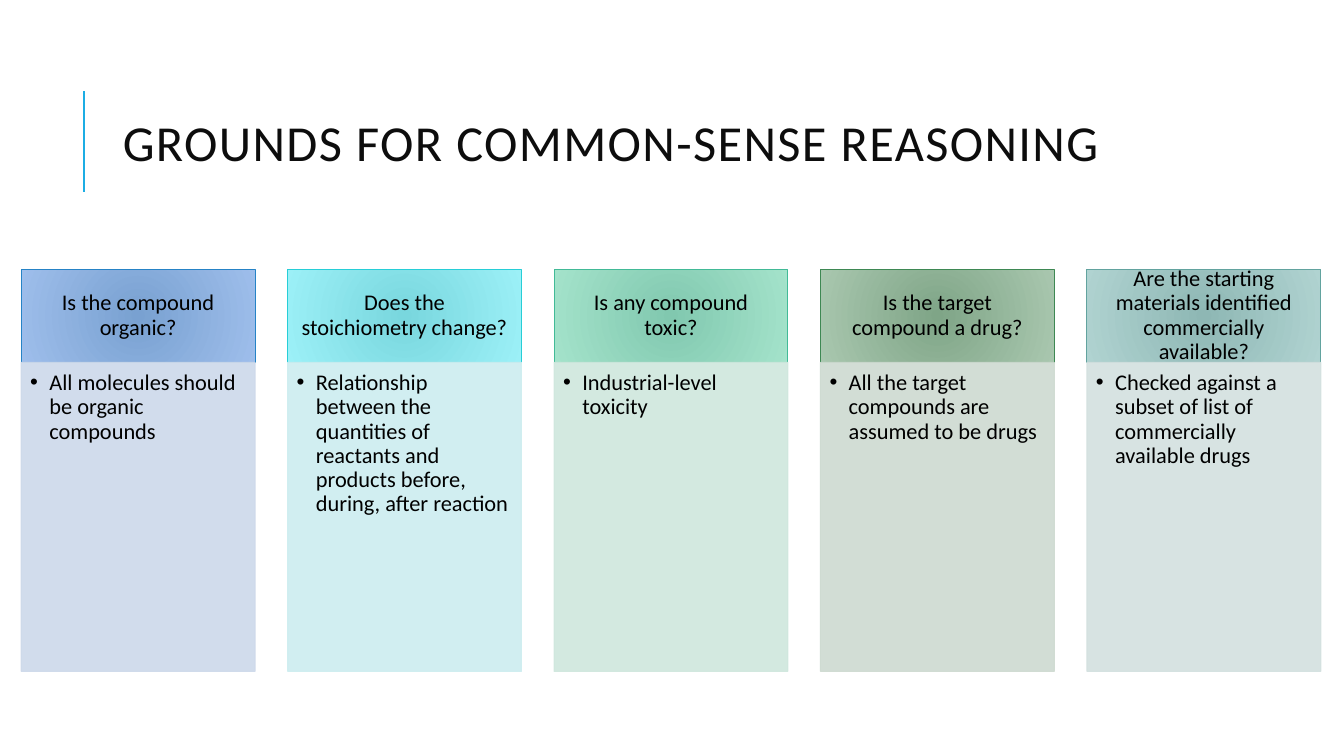
from lxml import etree
from pptx import Presentation
from pptx.dml.color import RGBColor
from pptx.enum.shapes import MSO_CONNECTOR, MSO_SHAPE
from pptx.enum.text import MSO_ANCHOR, PP_ALIGN
from pptx.oxml import parse_xml
from pptx.oxml.ns import nsdecls, qn
from pptx.util import Inches, Pt

RECT = MSO_SHAPE.RECTANGLE
STRAIGHT = MSO_CONNECTOR.STRAIGHT
TOP, MIDDLE = MSO_ANCHOR.TOP, MSO_ANCHOR.MIDDLE
LEFT, CENTER = PP_ALIGN.LEFT, PP_ALIGN.CENTER

FONT = "Calibri"
ACCENT = RGBColor(0x1C, 0xAD, 0xE4)
TITLE_COLOR = RGBColor(0x0D, 0x0D, 0x0D)
BLACK = RGBColor(0, 0, 0)

COLUMN_LEFT, COLUMN_TOP = 0.21, 2.67
COLUMN_WIDTH, COLUMN_HEIGHT = 2.32, 3.99
COLUMN_PITCH = 2.6425
HEADER_HEIGHT = 0.925

# Question, answer, then header centre, header edge, header line and body colours
COLUMNS = [
    ("Is the compound organic?",
     "All molecules should be organic compounds",
     RGBColor(0x79, 0xA1, 0xD1), RGBColor(0x9E, 0xBE, 0xEB),
     RGBColor(0x26, 0x83, 0xC6), RGBColor(0xCD, 0xD9, 0xEA)),
    ("Does the stoichiometry change?",
     "Relationship between the quantities of reactants and products "
     "before, during, after reaction",
     RGBColor(0x79, 0xD7, 0xDE), RGBColor(0x9C, 0xF0, 0xF7),
     RGBColor(0x27, 0xCE, 0xD7), RGBColor(0xCD, 0xED, 0xF0)),
    ("Is any compound toxic?",
     "Industrial-level toxicity",
     RGBColor(0x81, 0xC8, 0xAF), RGBColor(0xA4, 0xE3, 0xCB),
     RGBColor(0x42, 0xBA, 0x97), RGBColor(0xCF, 0xE7, 0xDD)),
    ("Is the target compound a drug?",
     "All the target compounds are assumed to be drugs",
     RGBColor(0x7F, 0xA5, 0x87), RGBColor(0xA9, 0xC7, 0xAF),
     RGBColor(0x3E, 0x88, 0x53), RGBColor(0xCE, 0xDA, 0xD1)),
    ("Are the starting materials identified commercially available?",
     "Checked against a subset of list of commercially available drugs",
     RGBColor(0x8E, 0xB7, 0xB4), RGBColor(0xB0, 0xD3, 0xD1),
     RGBColor(0x62, 0xA3, 0x9F), RGBColor(0xD3, 0xE0, 0xDF)),
]


def write(sp, text, size, color, anchor, align, spacing, insets):
    """Put one paragraph into a shape and return the paragraph and its run."""
    tf = sp.text_frame
    tf.word_wrap = True
    tf.vertical_anchor = anchor
    tf.margin_left, tf.margin_top, tf.margin_right, tf.margin_bottom = map(Inches, insets)
    p = tf.paragraphs[0]
    p.alignment = align
    p.line_spacing = spacing
    r = p.add_run()
    r.text = text
    r.font.name = FONT
    r.font.size = Pt(size)
    r.font.color.rgb = color
    return p, r


def add_rect(slide, left, top, width, height, line_color):
    sp = slide.shapes.add_shape(RECT, Inches(left), Inches(top), Inches(width), Inches(height))
    sp.shadow.inherit = False
    sp.line.color.rgb = line_color
    sp.line.width = Pt(0.75)
    return sp


def fill_radial(sp, center, edge):
    sp.fill.gradient()
    for stop, color in zip(sp.fill.gradient_stops, (center, edge)):
        stop.color.rgb = color
    grad = sp._element.spPr.find(qn("a:gradFill"))
    grad.replace(grad.find(qn("a:lin")), parse_xml(
        f'<a:path {nsdecls("a")} path="circle">'
        '<a:fillToRect l="100000" t="100000" r="100000" b="100000"/></a:path>'))


def make_translucent(sp, percent):
    """Set the opacity of every colour in the shape's fill and line."""
    for color in sp._element.spPr.iter(qn("a:srgbClr")):
        etree.SubElement(color, qn("a:alpha")).set("val", str(percent * 1000))


def add_bullet(p, indent):
    pPr = p._p.get_or_add_pPr()
    pPr.set("marL", str(Inches(indent)))
    pPr.set("indent", str(-Inches(indent)))
    etree.SubElement(pPr, qn("a:buFont")).set("typeface", "Arial")
    etree.SubElement(pPr, qn("a:buChar")).set("char", "•")


def add_title(slide, left, top, width, height, text):
    """Draw the title with the accent rule on its left."""
    rule_x = Inches(left - 0.29)
    rule = slide.shapes.add_connector(
        STRAIGHT, rule_x, Inches(top + 1.26), rule_x, Inches(top + 0.26))
    rule.line.color.rgb = ACCENT
    rule.line.width = Pt(1.5)
    etree.SubElement(rule._element.spPr, qn("a:effectLst"))

    box = slide.shapes.add_textbox(Inches(left), Inches(top), Inches(width), Inches(height))
    p, r = write(box, text, 36, TITLE_COLOR, MIDDLE, LEFT, 0.8, (0.1, 0.05, 0.1, 0.05))
    r._r.get_or_add_rPr().set("spc", "100")


def add_column(slide, left, top, width, height, column):
    """Draw a question header with its answer panel below."""
    question, answer, center, edge, line_color, body_color = column
    header = add_rect(slide, left, top, width, HEADER_HEIGHT, line_color)
    fill_radial(header, center, edge)
    write(header, question, 16, BLACK, MIDDLE, CENTER, 0.9, (0.12, 0.07, 0.12, 0.07))

    body = add_rect(slide, left, top + HEADER_HEIGHT, width, height - HEADER_HEIGHT, body_color)
    body.fill.solid()
    body.fill.fore_color.rgb = body_color
    make_translucent(body, 90)
    p, r = write(body, answer, 16, BLACK, TOP, LEFT, 0.9, (0.09, 0.09, 0.12, 0.14))
    add_bullet(p, 0.19)


def main():
    prs = Presentation()
    prs.slide_width, prs.slide_height = Inches(13.33), Inches(7.5)
    slide = prs.slides.add_slide(prs.slide_layouts[6])
    add_title(slide, 1.12, 0.64, 10.63, 1.64, "GROUNDS FOR COMMON-SENSE REASONING")
    for i, column in enumerate(COLUMNS):
        add_column(slide, COLUMN_LEFT + i * COLUMN_PITCH, COLUMN_TOP,
                   COLUMN_WIDTH, COLUMN_HEIGHT, column)
    prs.save("out.pptx")


if __name__ == "__main__":
    main()
